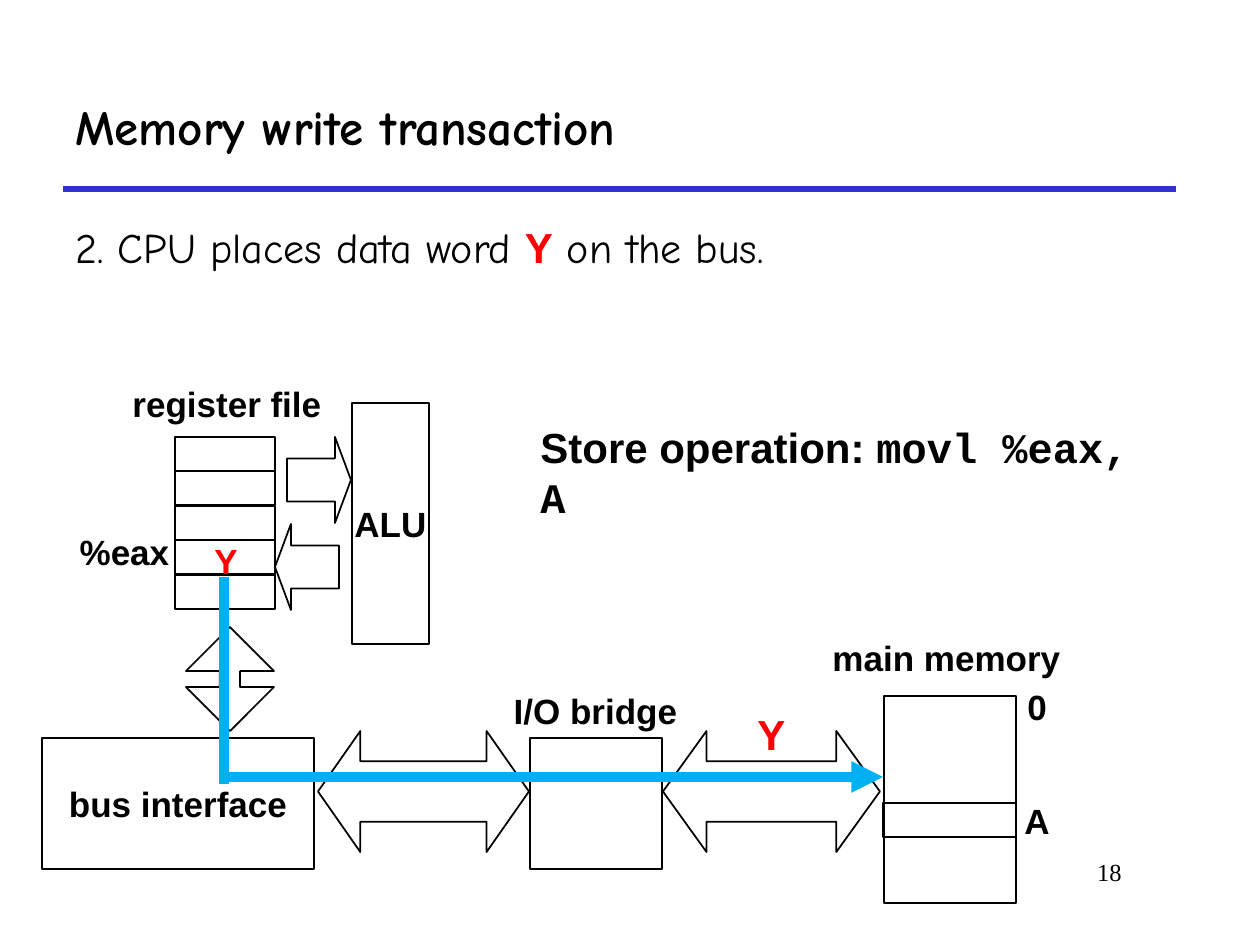
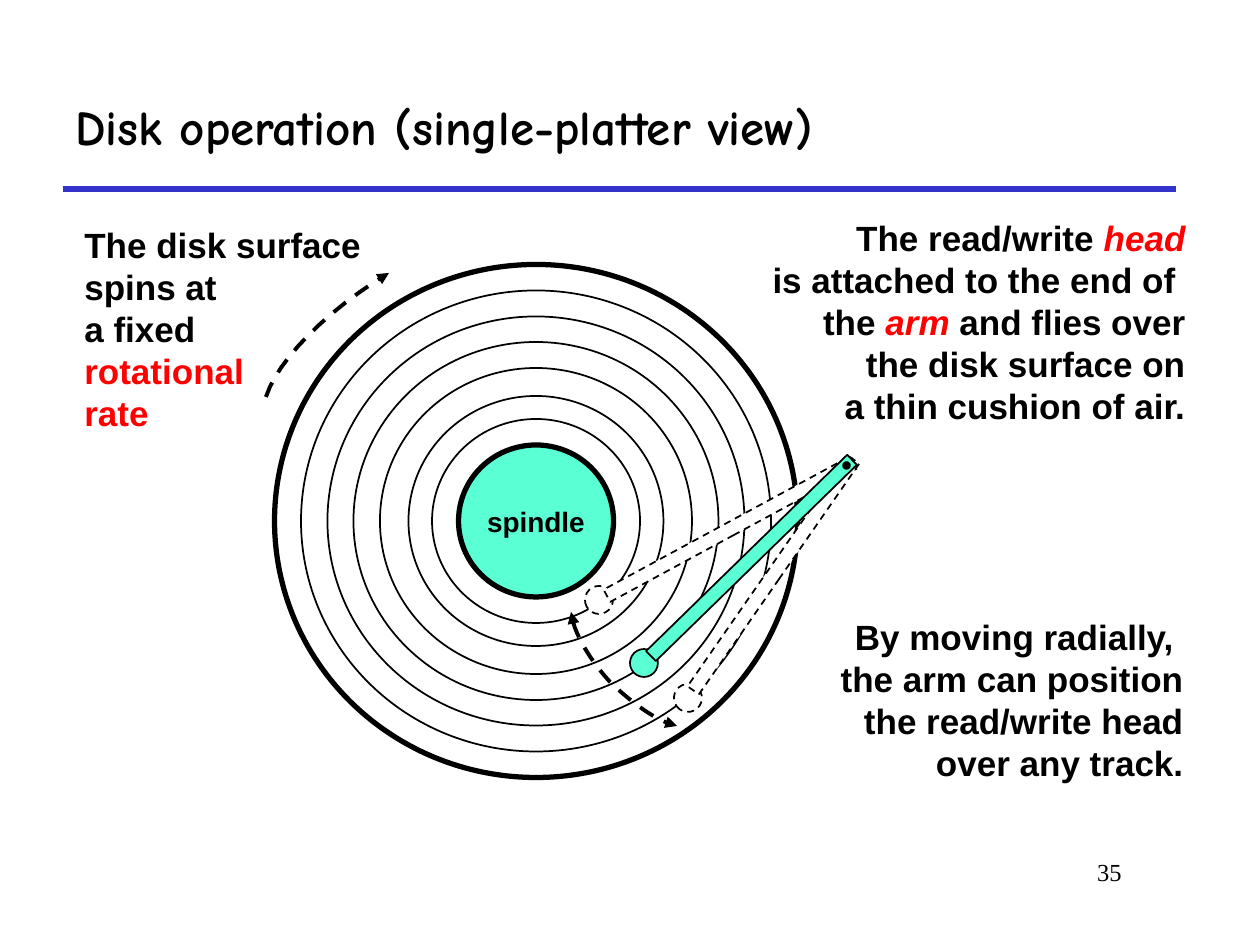
from pptx import Presentation
from pptx.dml.color import RGBColor
from pptx.enum.dml import MSO_LINE as Dash
from pptx.enum.shapes import MSO_CONNECTOR as Link, MSO_SHAPE as Kind
from pptx.enum.text import MSO_ANCHOR as Anchor, PP_ALIGN as Align
from pptx.oxml.ns import qn
from pptx.util import Pt
from lxml.etree import SubElement

SCALE = 914400 / 126
BLACK, WHITE, RED = "000000", "FFFFFF", "FF0000"
RULE, FLOW, MINT = "3333CC", "00B0F0", "5BFFD4"
COMIC, SANS, MONO, SERIF = "Comic Neue", "Arial", "Courier New", "Times New Roman"


def px(*vals):
    return [round(v * SCALE) for v in vals]


def tint(code):
    return RGBColor.from_string(code)


def style(line, color=BLACK, width=1, dash=False, head=False, tail=False):
    line.color.rgb = tint(color)
    line.width = Pt(width)
    if dash:
        line.dash_style = Dash.DASH
    ln = line._get_or_add_ln()
    for tag, on in (("a:headEnd", head), ("a:tailEnd", tail)):
        if on:
            SubElement(ln, qn(tag), type="triangle")


def write(shape, paras, size=20, font=SANS, color=BLACK, bold=True, align=Align.LEFT,
          anchor=Anchor.TOP, wrap=True, lead=None, before=None):
    frame = shape.text_frame
    frame.word_wrap = wrap
    frame.vertical_anchor = anchor
    for i, runs in enumerate(paras):
        para = frame.paragraphs[0] if i == 0 else frame.add_paragraph()
        para.alignment = align
        if lead:
            para.line_spacing = lead
        if before:
            para.space_before = Pt(before)
        for text, own in runs:
            for j, part in enumerate(text.split("\n")):
                if j:
                    para.add_line_break()
                run = para.add_run()
                run.text = part
                face = run.font
                face.size = Pt(size)
                face.name = own.get("font", font)
                face.bold = own.get("bold", bold)
                face.italic = own.get("italic", False)
                face.color.rgb = tint(own.get("color", color))


def plain(text, **own):
    return [(text, own)]


def note(slide, box, paras, **form):
    write(slide.shapes.add_textbox(*px(*box)), paras, **form)


def label(slide, box, text, **form):
    note(slide, box, [plain(text)], align=Align.CENTER, anchor=Anchor.MIDDLE,
         wrap=False, **form)


def draw(slide, kind, box, fill=None, turn=0, adj=(), text=None, size=20, **pen):
    shape = slide.shapes.add_shape(kind, *px(*box))
    shape.shadow.inherit = False
    if fill:
        shape.fill.solid()
        shape.fill.fore_color.rgb = tint(fill)
    else:
        shape.fill.background()
    style(shape.line, **pen)
    shape.rotation = turn
    for i, val in enumerate(adj):
        shape.adjustments[i] = val
    if text:
        write(shape, [plain(text)], size=size, align=Align.CENTER,
              anchor=Anchor.MIDDLE, wrap=False)


def link(slide, ends, **pen):
    line = slide.shapes.add_connector(Link.STRAIGHT, *px(*ends))
    style(line.line, **pen)
    SubElement(line._element.spPr, qn("a:effectLst"))


def bezier(a, b, c, d, steps=12):
    for i in range(1, steps + 1):
        t = i / steps
        u = 1 - t
        yield tuple(u**3 * p + 3 * u * u * t * q + 3 * u * t * t * r + t**3 * s
                    for p, q, r, s in zip(a, b, c, d))


def curve(slide, knots, **pen):
    path = [knots[0]]
    for i in range(0, len(knots) - 1, 3):
        path += bezier(*knots[i:i + 4])
    pts = [tuple(px(*p)) for p in path]
    form = slide.shapes.build_freeform(*pts[0])
    form.add_line_segments(pts[1:], close=False)
    shape = form.convert_to_shape()
    shape.shadow.inherit = False
    shape.fill.background()
    style(shape.line, width=2.25, dash=True, **pen)


def start(deck, title, page):
    slide = deck.slides.add_slide(deck.slide_layouts[6])
    link(slide, (63, 189, 1176, 189), color=RULE, width=3)
    note(slide, (955, 851, 179, 63), [plain(page)], size=14, font=SERIF,
         bold=False, align=Align.RIGHT)
    note(slide, (63, 63, 1113, 126), [plain(title)], size=28, font=COMIC,
         anchor=Anchor.MIDDLE)
    return slide


def memory(deck):
    slide = start(deck, "Memory write transaction", "18")
    note(slide, (63, 221, 1144, 73),
         [[("2. CPU places data word ", {}),
           ("Y", {"font": SANS, "color": RED, "bold": True}),
           (" on the bus.", {})]],
         size=24, font=COMIC, bold=False, lead=0.9, before=6)

    draw(slide, Kind.RECTANGLE, (884, 696, 132, 207))
    draw(slide, Kind.LEFT_RIGHT_ARROW, (663, 731, 217, 121), adj=(0.5, 0.36))
    draw(slide, Kind.RECTANGLE, (530, 738, 132, 131))
    draw(slide, Kind.LEFT_RIGHT_ARROW, (318, 731, 211, 121), adj=(0.5, 0.35))
    for row in range(5):
        draw(slide, Kind.RECTANGLE, (175, 437 + row * 69 // 2, 100, 34))
    draw(slide, Kind.RIGHT_ARROW, (287, 437, 64, 86), adj=(0.5, 0.25))
    draw(slide, Kind.LEFT_ARROW, (275, 524, 64, 86), adj=(0.5, 0.25))
    draw(slide, Kind.RECTANGLE, (352, 403, 77, 241), text="ALU")
    draw(slide, Kind.UP_DOWN_ARROW, (186, 627, 88, 104), adj=(0.5, 0.23))
    draw(slide, Kind.RECTANGLE, (42, 738, 272, 131), fill=WHITE, text="bus interface")
    draw(slide, Kind.RECTANGLE, (883, 803, 133, 34))

    label(slide, (202, 533, 48, 55), "Y", color=RED)
    for x, y, wide, text in (
        (120, 376, 214, "register file"),
        (67, 524, 115, "%eax"),
        (501, 683, 189, "I/O bridge"),
        (820, 630, 253, "main memory"),
        (1015, 679, 44, "0"),
        (1012, 793, 50, "A"),
    ):
        label(slide, (x, y, wide, 55), text)
    note(slide, (528, 415, 663, 113),
         [[("Store operation: ", {}), ("movl %eax, A", {"font": MONO})]],
         size=24, wrap=False)

    link(slide, (224, 777, 883, 777), color=FLOW, width=6, tail=True)
    link(slide, (224, 577, 224, 784), color=FLOW, width=6)
    label(slide, (745, 702, 53, 63), "Y", size=24, color=RED)


def disk(deck):
    slide = start(deck, "Disk operation (single-platter view)", "35")
    hub = (536, 521)
    for wide in (523, 470, 417, 365, 312, 255, 208, 155):
        tall = round(wide * 0.98)
        box = (hub[0] - wide / 2, hub[1] - tall / 2, wide, tall)
        if wide == 155:
            draw(slide, Kind.OVAL, box, fill=MINT, width=3, text="spindle", size=16)
        else:
            draw(slide, Kind.OVAL, box, width=3 if wide == 523 else 1)

    key = {"color": RED, "italic": True}
    note(slide, (72, 217, 316, 222),
         [plain("The disk surface "), plain("spins at \na fixed"),
          plain("rotational \nrate", color=RED)])
    note(slide, (760, 210, 438, 222),
         [[("The read/write ", {}), ("head", key)],
          [("is attached to the end of \nthe ", {}), ("arm ", key), ("and flies over", {})],
          plain(" the disk surface on"), plain("a thin cushion of air.")],
         align=Align.RIGHT, wrap=False)
    note(slide, (790, 609, 406, 180),
         [plain("By moving radially, \nthe arm can position the read/write head "
                "over any track.")], align=Align.RIGHT)

    curve(slide, [(266, 397), (278, 360), (326, 311), (389, 273)], tail=True)
    curve(slide, [(571, 612), (573, 631), (588, 658), (610, 682),
                  (633, 704), (658, 722), (677, 726)], head=True, tail=True)

    for head, arm, turn, fill, dash in (
        ((585, 586), (590, 522), 331.6, WHITE, True),
        ((674, 684), (633, 568), 304.8, WHITE, True),
        ((630, 649), (611, 551), 315.7, MINT, False),
    ):
        draw(slide, Kind.OVAL, (*head, 28, 28), fill=fill, turn=turn, dash=dash)
        draw(slide, Kind.RECTANGLE, (*arm, 281, 14), fill=fill, turn=turn, dash=dash)
    draw(slide, Kind.OVAL, (844, 463, 5, 5), fill=BLACK, width=2)


def main():
    deck = Presentation()
    deck.slide_width, deck.slide_height = px(1260, 945)
    memory(deck)
    disk(deck)
    deck.save("out.pptx")


main()
